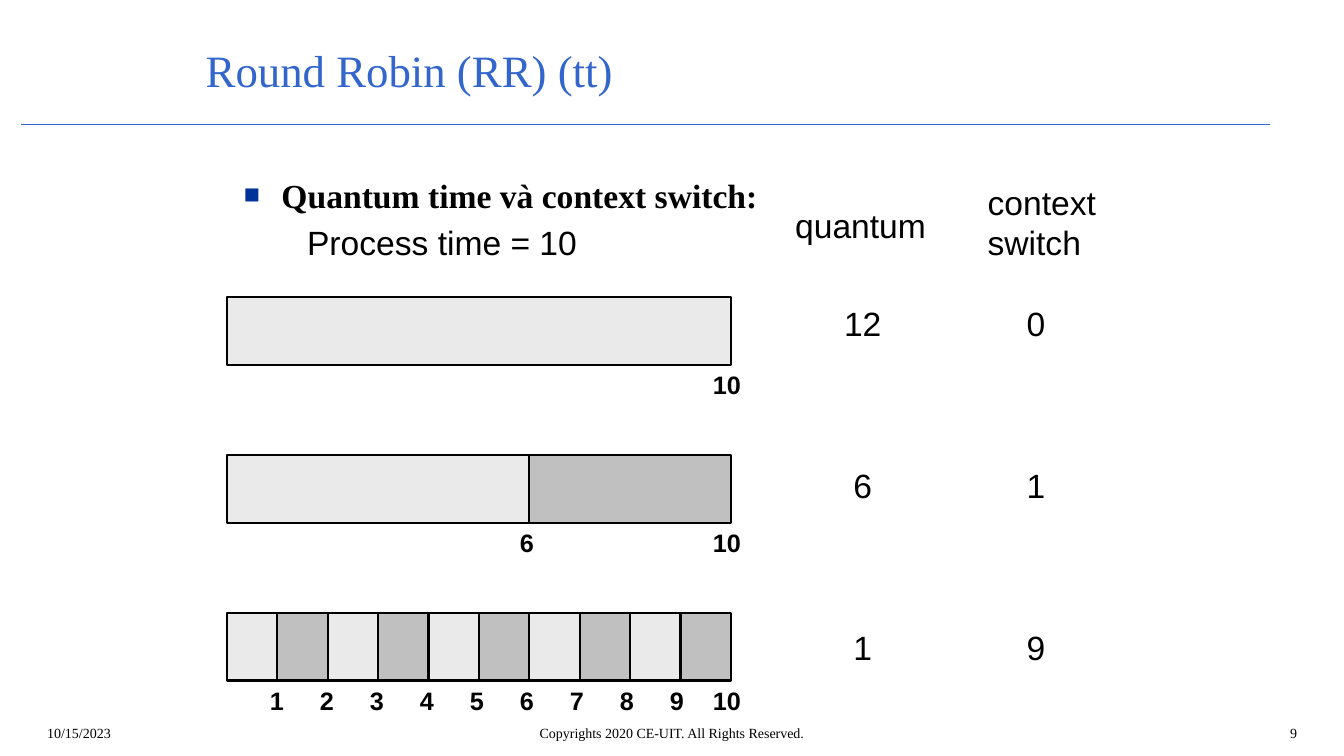
from math import ceil

from lxml import etree
from pptx import Presentation
from pptx.dml.color import RGBColor as RGB
from pptx.enum.shapes import MSO_CONNECTOR, MSO_SHAPE
from pptx.enum.text import MSO_ANCHOR, MSO_AUTO_SIZE, PP_ALIGN
from pptx.oxml.ns import qn
from pptx.util import Cm, Pt


class Theme:
    black, blue, bullet = RGB(0, 0, 0), RGB(0x33, 0x66, 0xCC), "003399"
    slices = RGB(0xEA, 0xEA, 0xEA), RGB(0xC0, 0xC0, 0xC0)
    serif, sans = "Times New Roman", "Arial"
    title, body, tick, footer = Pt(32), Pt(24), Pt(18), Pt(10)


def write(tf, text, align=PP_ALIGN.LEFT, **fmt):
    """Fill a text frame, giving every run the same format."""
    color = fmt.pop("color", Theme.black)
    tf.text = text
    for p in tf.paragraphs:
        p.alignment = align
        for r in p.runs:
            r.font.color.rgb = color
            for name, value in fmt.items():
                setattr(r.font, name, value)


def add_label(text, center, top, size, bold=False):
    """Add a one-line box centred on the given x, as wide as its text."""
    width = 0.51 + len(text) * size.pt * 0.0196
    sp = s.shapes.add_textbox(Cm(center - width / 2), Cm(top), Cm(width), Cm(size.pt * 0.055))
    sp.text_frame.word_wrap = False
    write(sp.text_frame, text, PP_ALIGN.CENTER, size=size, bold=bold, name=Theme.sans)


prs = Presentation()
prs.slide_width, prs.slide_height = Cm(33.87), Cm(19.05)
s = prs.slides.add_slide(prs.slide_layouts[1])

# Title and rule
title, body = s.shapes.title, s.placeholders[1]
title.left, title.top, title.width, title.height = Cm(4.93), Cm(0.79), Cm(27.23), Cm(1.93)
title.text_frame.vertical_anchor = MSO_ANCHOR.MIDDLE
write(title.text_frame, "Round Robin (RR) (tt)",
      size=Theme.title, name=Theme.serif, color=Theme.blue)

rule = s.shapes.add_connector(MSO_CONNECTOR.STRAIGHT, Cm(0.53), Cm(3.13), Cm(32), Cm(3.13))
rule.line.color.rgb, rule.line.width = Theme.blue, Pt(0.75)
etree.SubElement(rule._element.spPr, qn("a:effectLst"))

# Bulleted heading
body.left, body.top, body.width, body.height = Cm(5.89), Cm(3.76), Cm(22), Cm(14.33)
body.text_frame.auto_size = MSO_AUTO_SIZE.NONE
write(body.text_frame, "Quantum time và context switch:", PP_ALIGN.JUSTIFY,
      size=Theme.body, name=Theme.serif, bold=True)
p = body.text_frame.paragraphs[0]
pPr = p._p.get_or_add_pPr()
pPr.set("marL", str(Cm(0.95)))
pPr.set("indent", str(-Cm(0.95)))
bullet_color = etree.SubElement(pPr, qn("a:buClr"))
etree.SubElement(bullet_color, qn("a:srgbClr"), val=Theme.bullet)
etree.SubElement(pPr, qn("a:buSzPct"), val="80000")
etree.SubElement(pPr, qn("a:buFont"), typeface=Theme.sans)
etree.SubElement(pPr, qn("a:buChar"), char="■")
p.line_spacing, p.space_before = 1.5, Pt(0)

# Column headings
for text, left, top, width, height in (
    ("Process time = 10", 7.49, 5.46, 7.32, 1.27),
    ("quantum", 19.79, 5.03, 4.04, 1.27),
    ("context\nswitch", 24.64, 4.45, 3.28, 2.31),
):
    sp = s.shapes.add_textbox(Cm(left), Cm(top), Cm(width), Cm(height))
    sp.text_frame.word_wrap = False
    write(sp.text_frame, text, size=Theme.body, name=Theme.sans)

# One timeline per quantum, cut into slices
process_time, unit, tick_step = 10, 1.27, 1.26
bar_left, bar_height = 5.72, 1.7
for row, quantum in enumerate((12, 6, 1)):
    bar_top = 7.49 + 3.98 * row
    for i, start in enumerate(range(0, process_time, quantum)):
        end = min(start + quantum, process_time)
        sp = s.shapes.add_shape(MSO_SHAPE.RECTANGLE, Cm(bar_left + start * unit), Cm(bar_top),
                                Cm((end - start) * unit), Cm(bar_height))
        sp.shadow.inherit = False
        sp.fill.solid()
        sp.fill.fore_color.rgb = Theme.slices[i % 2]
        sp.line.color.rgb, sp.line.width = Theme.black, Pt(1.5)
        add_label(str(end), bar_left + end * tick_step, bar_top + bar_height, Theme.tick, True)
    switches = ceil(process_time / quantum) - 1
    for value, center in ((quantum, 21.74), (switches, 26.11)):
        add_label(str(value), center, 7.5 + 4.09 * row, Theme.body)

# Footer
for text, left, width, align in (
    ("10/15/2023", 0.94, 7.9, PP_ALIGN.LEFT),
    ("Copyrights 2020 CE-UIT. All Rights Reserved.", 6.53, 20.8, PP_ALIGN.CENTER),
    ("9", 26.44, 6.5, PP_ALIGN.RIGHT),
):
    sp = s.shapes.add_textbox(Cm(left), Cm(18.14), Cm(width), Cm(0.81))
    sp.text_frame.word_wrap = True
    write(sp.text_frame, text, align, size=Theme.footer, name=Theme.serif)

prs.save("out.pptx")
